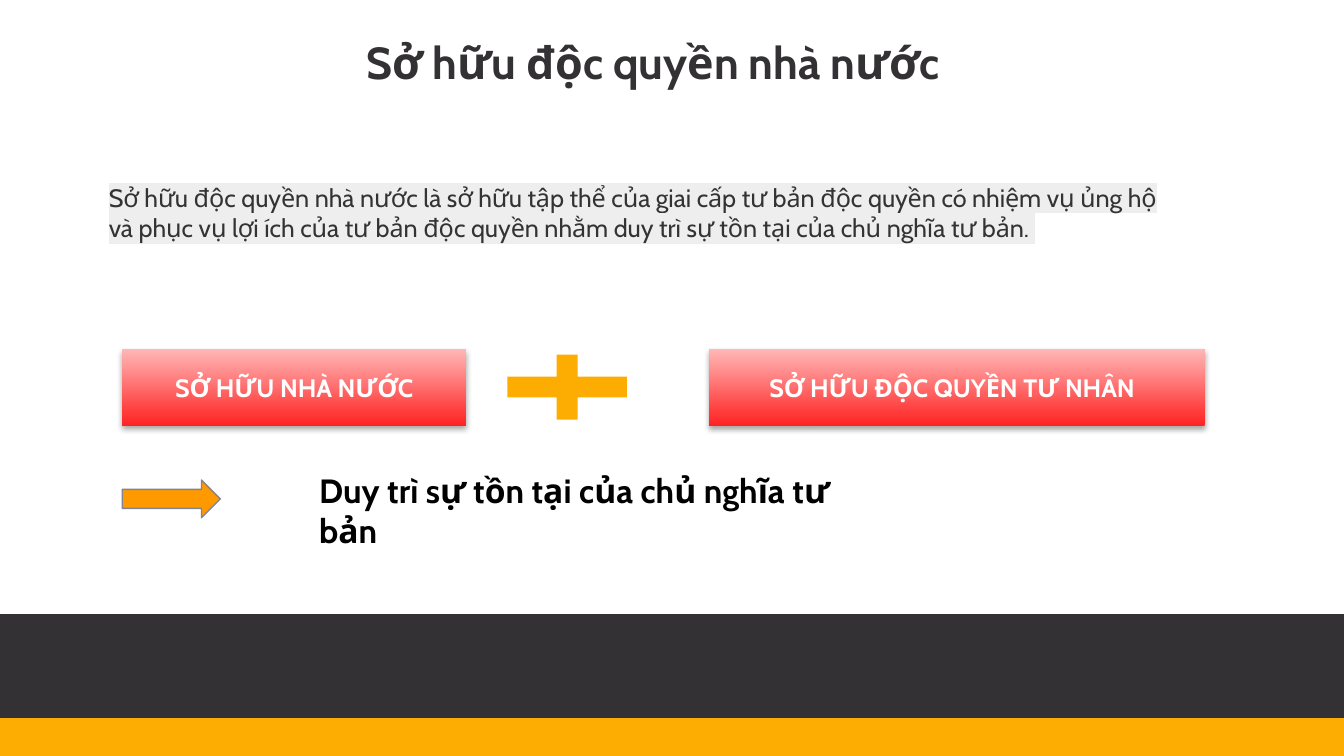
from lxml import etree
from pptx import Presentation, util as u
from pptx.dml.color import RGBColor
from pptx.enum import shapes, text
from pptx.oxml.ns import qn

# A 16:9 slide, seen as a grid of 100 columns by 100 rows
WIDTH = u.Inches(10)
HEIGHT = WIDTH * 9 // 16
FONT = "Cabin"
DARK, AMBER, WHITE = "333134", "FDAD01", "FFFFFF"
INDENT = 0.38


def color(value):
    return RGBColor.from_string(value)


def grid(left, top, width, height):
    return (int(WIDTH * left / 100), int(HEIGHT * top / 100),
            int(WIDTH * width / 100), int(HEIGHT * height / 100))


def add_color_element(parent, tag, value):
    element = etree.SubElement(parent, qn(tag))
    return etree.SubElement(element, qn("a:srgbClr"), val=value)


def write(shape, words, size, ink, bold=True, align=text.PP_ALIGN.LEFT,
          indent=0, vertical_margin=0.07):
    frame = shape.text_frame
    frame.word_wrap = True
    frame.margin_left = frame.margin_right = u.Inches(0.07)
    frame.margin_top = frame.margin_bottom = u.Inches(vertical_margin)
    paragraph = frame.paragraphs[0]
    paragraph.alignment = align
    if indent:
        properties = paragraph._p.get_or_add_pPr()
        properties.set("marL", str(u.Inches(indent)))
        properties.set("indent", "0")
    run = paragraph.add_run()
    run.text = words
    font = paragraph.font
    font.name, font.size, font.bold = FONT, u.Pt(size), bold
    font.color.rgb = color(ink)
    return run


def add_text(slide, place, words, size, ink, **options):
    box = slide.shapes.add_textbox(*grid(*place))
    return write(box, words, size, ink, **options)


def add_shape(slide, kind, place, fill=None, line=None, adjustments=()):
    shape = slide.shapes.add_shape(kind, *grid(*place))
    shape.shadow.inherit = False
    if fill:
        shape.fill.solid()
        shape.fill.fore_color.rgb = color(fill)
    if line:
        shape.line.color.rgb = color(line)
        shape.line.width = u.Pt(0.75)
    else:
        shape.line.fill.background()
    for index, value in enumerate(adjustments):
        shape.adjustments[index] = value
    return shape


def add_red_box(slide, place, words, **options):
    box = add_shape(slide, shapes.MSO_SHAPE.RECTANGLE, place)
    box.fill.gradient()
    box.fill.gradient_angle = 90
    for stop, value in zip(box.fill.gradient_stops, ("FF2222", "FFB7B7")):
        stop.color.rgb = color(value)
    # Soft shadow straight below
    effects = box._element.spPr.find(qn("a:effectLst"))
    shade = add_color_element(effects, "a:outerShdw", "000000")
    for name, value in (("blurRad", u.Pt(3.1)), ("dist", u.Pt(1.8)),
                        ("dir", 90 * 60000), ("rotWithShape", 0)):
        shade.getparent().set(name, str(int(value)))
    etree.SubElement(shade, qn("a:alpha"), val="35000")
    box.text_frame.vertical_anchor = text.MSO_ANCHOR.MIDDLE
    write(box, words, 13.5, WHITE, **options)


def main():
    presentation = Presentation()
    presentation.slide_width, presentation.slide_height = WIDTH, HEIGHT
    slide = presentation.slides.add_slide(presentation.slide_layouts[6])
    kinds = shapes.MSO_SHAPE

    # Title and highlighted definition
    add_text(slide, (2.2, 3.9, 92.8, 8.53), "Sở hữu độc quyền nhà nước",
             24, DARK, align=text.PP_ALIGN.CENTER, vertical_margin=0.04)
    definition = add_text(
        slide, (3.6, 23.35, 84.4, 51),
        "Sở hữu độc quyền nhà nước là sở hữu tập thể của giai cấp tư bản "
        "độc quyền có nhiệm vụ ủng hộ và phục vụ lợi ích của tư bản độc "
        "quyền nhằm duy trì sự tồn tại của chủ nghĩa tư bản. ",
        13.5, "333333", bold=False, indent=INDENT, vertical_margin=0.04)
    add_color_element(definition._r.get_or_add_rPr(), "a:highlight", "EEEEEE")

    # Footer bands
    add_shape(slide, kinds.RECTANGLE, (0, 81.24, 100, 13.87), DARK)
    add_shape(slide, kinds.RECTANGLE, (0, 95, 100, 5), AMBER)

    # The two forms of ownership, added together
    add_shape(slide, kinds.MATH_PLUS, (36.15, 45.35, 12.1, 11.73), AMBER,
              adjustments=[0.235])
    add_red_box(slide, (9.1, 46.2, 25.6, 10.13), "SỞ HỮU NHÀ NƯỚC",
                align=text.PP_ALIGN.CENTER)
    add_red_box(slide, (52.74, 46.2, 36.9, 10.13),
                "SỞ HỮU ĐỘC QUYỀN TƯ NHÂN", indent=INDENT)

    # Outcome
    add_shape(slide, kinds.RIGHT_ARROW, (9.1, 63.5, 7.3, 5), "FF9900",
              line="808392", adjustments=[0.5, 0.5])
    add_text(slide, (23.05, 60.88, 42.6, 8.53),
             "Duy trì sự tồn tại của chủ nghĩa tư bản", 18, "000000")

    presentation.save("out.pptx")


if __name__ == "__main__":
    main()
